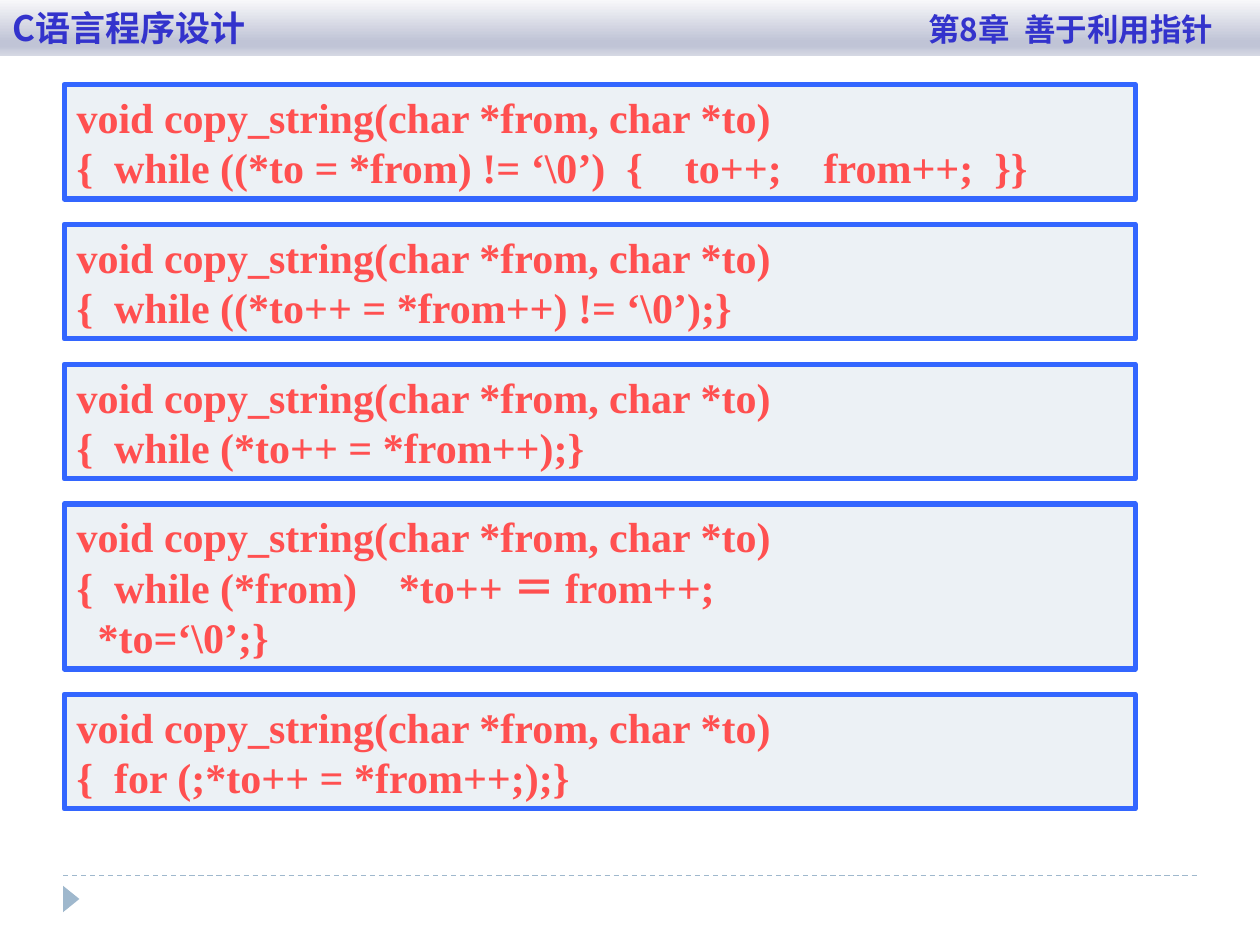
from dataclasses import dataclass
from typing import Any

from lxml.etree import SubElement
from pptx import Presentation
from pptx.dml.color import RGBColor
from pptx.enum.dml import MSO_LINE
from pptx.enum.shapes import MSO_CONNECTOR, MSO_SHAPE
from pptx.enum.text import MSO_ANCHOR, MSO_AUTO_SIZE, PP_ALIGN
from pptx.oxml.ns import qn
from pptx.util import Inches, Length, Pt

COLS, ROWS = 100, 75
WIDE, HIGH = Inches(10), Inches(7.5)


@dataclass(frozen=True)
class Theme:
    code: str = "FF5050"
    panel: str = "ECF1F5"
    edge: str = "3366FF"
    head: str = "3333CC"
    trim: str = "9FB8CD"
    band: tuple = ((0, "F8F8FA"), (74, "C0C4D6"), (83, "C0C4D6"), (100, "D5D8E3"))
    mono: str = "Times New Roman"
    cjk: str = "Noto Sans CJK JP"
    big: int = 24
    mid: int = 20
    small: int = 18
    lead: float = 28.8


@dataclass(frozen=True)
class Stack:
    """Grid places of the code panels, in columns and rows."""
    left: float = 5.1
    top: float = 6.7
    width: float = 85
    line: float = 4
    pad: float = 1.1
    gap: float = 2


THEME = Theme()
STACK = Stack()
HEAD = "void copy_string(char *from, char *to)"
BODIES = (
    "{  while ((*to = *from) != ‘\\0’)  {    to++;    from++;  }}",
    "{  while ((*to++ = *from++) != ‘\\0’);}",
    "{  while (*to++ = *from++);}",
    "{  while (*from)    *to++ ＝ from++;\n  *to=‘\\0’;}",
    "{  for (;*to++ = *from++;);}",
)


def col(n: float) -> Length:
    return Length(round(WIDE * n / COLS))


def row(n: float) -> Length:
    return Length(round(HIGH * n / ROWS))


def rgb(code: str) -> RGBColor:
    return RGBColor.from_string(code)


def apply(item: Any, **values: Any) -> None:
    for name, value in values.items():
        setattr(item, name, value)


def style(font: Any, face: str, size: float, color: str) -> None:
    apply(font, name=face, size=Pt(size), bold=True)
    font.color.rgb = rgb(color)


def draw_band(title: Any) -> None:
    """Turn the title placeholder into the shaded header."""
    apply(title, left=0, top=0, width=WIDE, height=row(4.4))
    title.fill.gradient()
    title.fill.gradient_angle = 270
    stops = title.fill._fill._gradFill.find(qn("a:gsLst"))
    for old in list(stops):
        stops.remove(old)
    for share, color in THEME.band:
        stop = SubElement(stops, qn("a:gs"), pos=str(share * 1000))
        SubElement(stop, qn("a:srgbClr"), val=color)

    frame = title.text_frame
    apply(frame, auto_size=MSO_AUTO_SIZE.NONE, word_wrap=True,
          vertical_anchor=MSO_ANCHOR.MIDDLE)
    para = frame.paragraphs[0]
    para.alignment = PP_ALIGN.LEFT
    tabs = SubElement(para._p.get_or_add_pPr(), qn("a:tabLst"))
    SubElement(tabs, qn("a:tab"), pos=str(col(95.3)), algn="r")
    for text, size in (("C语言程序设计\t", THEME.mid),
                       ("第8章  善于利用指针", THEME.small)):
        run = para.add_run()
        run.text = text
        style(run.font, THEME.cjk, size, THEME.head)
        SubElement(run._r.get_or_add_rPr(), qn("a:ea"), typeface=THEME.cjk)


def draw_panel(shapes: Any, top: float, high: float, text: str) -> None:
    box = shapes.add_shape(MSO_SHAPE.RECTANGLE, col(STACK.left), row(top),
                           col(STACK.width), row(high))
    box.shadow.inherit = False
    box.fill.solid()
    box.fill.fore_color.rgb = rgb(THEME.panel)
    box.line.color.rgb = rgb(THEME.edge)
    box.line.width = Pt(3)
    apply(box.text_frame, word_wrap=True, vertical_anchor=MSO_ANCHOR.MIDDLE)
    para = box.text_frame.paragraphs[0]
    apply(para, text=text, alignment=PP_ALIGN.LEFT, line_spacing=Pt(THEME.lead))
    for run in para.runs:
        style(run.font, THEME.mono, THEME.big, THEME.code)


def draw_foot(shapes: Any) -> None:
    rule = shapes.add_connector(MSO_CONNECTOR.STRAIGHT, col(5), row(69.5),
                                col(95), row(69.5))
    rule.line.color.rgb = rgb(THEME.trim)
    apply(rule.line, width=Pt(0.75), dash_style=MSO_LINE.DASH)
    SubElement(rule._element.spPr, qn("a:effectLst"))

    mark = shapes.add_shape(MSO_SHAPE.ISOSCELES_TRIANGLE, col(4.6), row(70.7),
                            col(2.1), row(1.3))
    mark.rotation = 90
    mark.shadow.inherit = False
    mark.fill.solid()
    mark.fill.fore_color.rgb = rgb(THEME.trim)
    mark.line.fill.background()


def main() -> None:
    deck = Presentation()
    apply(deck, slide_width=WIDE, slide_height=HIGH)
    slide = deck.slides.add_slide(deck.slide_layouts[5])
    draw_foot(slide.shapes)
    draw_band(slide.shapes.title)
    top = STACK.top
    for body in BODIES:
        text = f"{HEAD}\n{body}"
        high = STACK.pad + STACK.line * len(text.splitlines())
        draw_panel(slide.shapes, top, high, text)
        top += high + STACK.gap
    deck.save("out.pptx")


if __name__ == "__main__":
    main()
